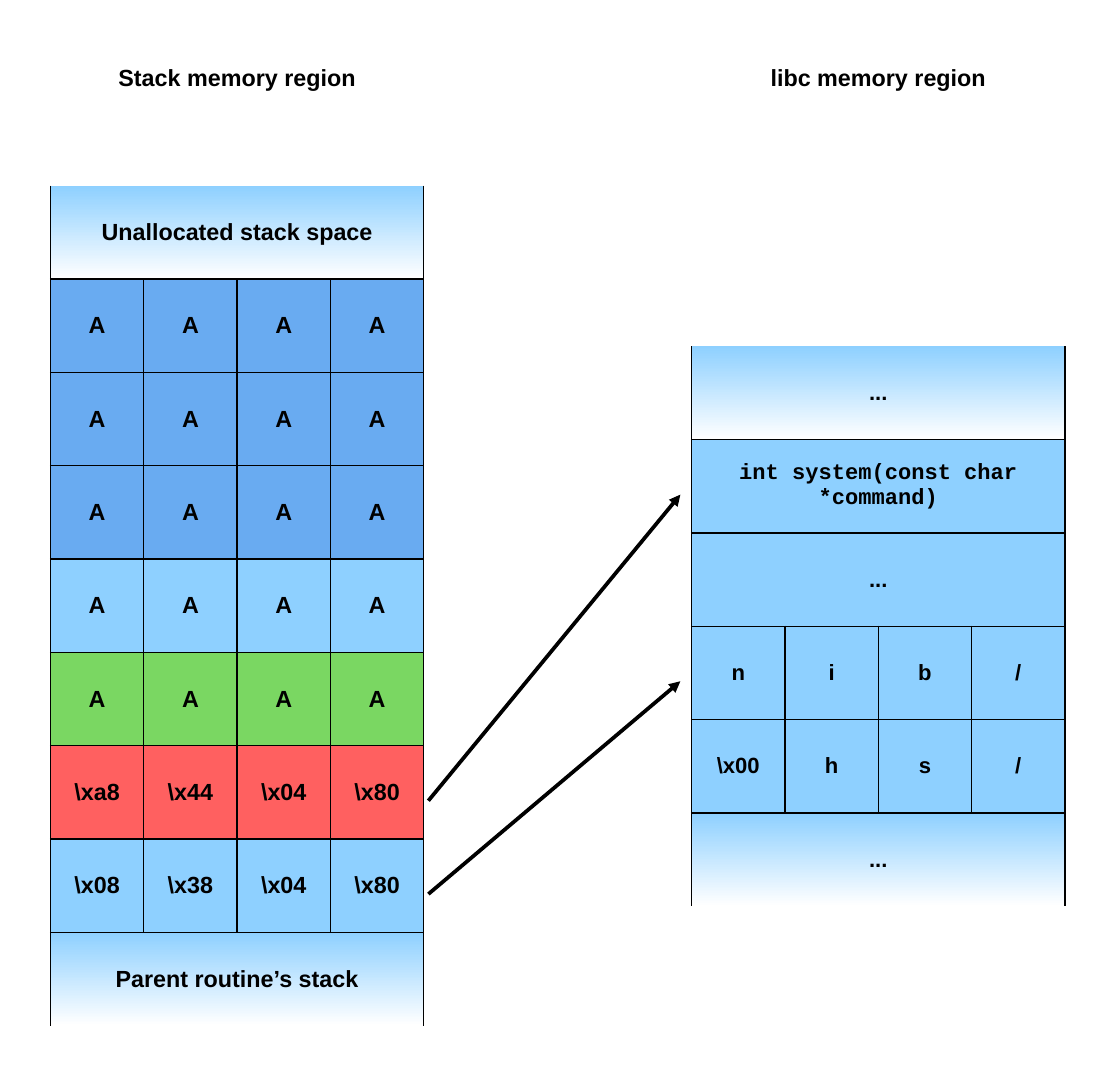
from dataclasses import dataclass

from lxml.etree import SubElement
from pptx import Presentation
from pptx.dml.color import RGBColor
from pptx.enum.shapes import MSO_CONNECTOR as Connector
from pptx.enum.text import MSO_ANCHOR as Anchor, MSO_AUTO_SIZE as AutoSize, PP_ALIGN as Align
from pptx.oxml import parse_xml
from pptx.oxml.ns import nsdecls, qn
from pptx.util import Inches, Pt


@dataclass(frozen=True)
class Theme:
    ink: str = "000000"
    paper: str = "FFFFFF"
    memory: str = "8ED0FF"
    buffer: str = "69ABF1"
    frame_pointer: str = "7AD762"
    return_address: str = "FF6060"
    font: str = "Arial"
    code_font: str = "Courier New"
    stack_size: int = 18
    libc_size: int = 17
    border: float = 1.13
    arrow: float = 2.89


THEME = Theme()
FADE = "fade"  # marks a row whose fill fades out to the background
COLUMNS = 4
UNIT = 1  # side of one memory byte, in inches
STACK_LEFT, STACK_TOP = 0.54, 1.99
LIBC_LEFT, LIBC_TOP = 7.41, 3.71
HEADING_TOP, HEADING_HEIGHT = 0.59, 0.48

# Each row: its texts (a single text spans the row) and its fill
FILLER = ["A"] * COLUMNS
STACK_ROWS = [
    (["Unallocated stack space"], FADE),
    *[(FILLER, THEME.buffer)] * 3,
    (FILLER, THEME.memory),
    (FILLER, THEME.frame_pointer),
    ([r"\xa8", r"\x44", r"\x04", r"\x80"], THEME.return_address),
    ([r"\x08", r"\x38", r"\x04", r"\x80"], THEME.memory),
    (["Parent routine’s stack"], FADE),
]
SYSTEM_CALL = "int system(const char *command)"
LIBC_ROWS = [
    (["..."], FADE),
    ([SYSTEM_CALL], THEME.memory),
    (["..."], THEME.memory),
    (["n", "i", "b", "/"], THEME.memory),
    ([r"\x00", "h", "s", "/"], THEME.memory),
    (["..."], FADE),
]


def color(value):
    return RGBColor.from_string(value)


def format_text(text_frame, size, font=THEME.font):
    for paragraph in text_frame.paragraphs:
        paragraph.alignment = Align.CENTER
        for run in paragraph.runs:
            run.font.name = font
            run.font.size = Pt(size)
            run.font.bold = True
            run.font.color.rgb = color(THEME.ink)


def fill_cell(cell, fill):
    if fill != FADE:
        cell.fill.solid()
        cell.fill.fore_color.rgb = color(fill)
        return
    cell.fill.gradient()
    cell.fill.gradient_angle = 270
    for stop, value in zip(cell.fill.gradient_stops, (THEME.memory, THEME.paper)):
        stop.color.rgb = color(value)


def set_borders(cell, has_top, has_bottom):
    """Draw the cell's sides; borders come before the fill in the XML."""
    properties = cell._tc.get_or_add_tcPr()
    sides = {"L": True, "R": True, "T": has_top, "B": has_bottom}
    for position, (side, visible) in enumerate(sides.items()):
        paint = f'<a:solidFill><a:srgbClr val="{THEME.ink}"/></a:solidFill>' if visible else "<a:noFill/>"
        line = f'<a:ln{side} {nsdecls("a")} w="{Pt(THEME.border)}">{paint}</a:ln{side}>'
        properties.insert(position, parse_xml(line))


def add_memory(slide, left, top, rows, size):
    """Add a memory region as a table, open at its upper and lower ends."""
    table = slide.shapes.add_table(
        len(rows), COLUMNS, Inches(left), Inches(top),
        Inches(COLUMNS * UNIT), Inches(len(rows) * UNIT)).table
    table.first_row = table.horz_banding = False
    for row, (texts, fill) in enumerate(rows):
        if len(texts) == 1:
            table.cell(row, 0).merge(table.cell(row, COLUMNS - 1))
        for column in range(COLUMNS):
            cell = table.cell(row, column)
            fill_cell(cell, fill)
            set_borders(cell, row > 0, row < len(rows) - 1)
            cell.vertical_anchor = Anchor.MIDDLE
            if column < len(texts):
                cell.text_frame.text = texts[column]
                font = THEME.code_font if texts[column] == SYSTEM_CALL else THEME.font
                format_text(cell.text_frame, size, font)


def place_heading(placeholder, text, left):
    """Centre a heading over the memory region that starts at left."""
    placeholder.left, placeholder.top = Inches(left), Inches(HEADING_TOP)
    placeholder.width, placeholder.height = Inches(COLUMNS * UNIT), Inches(HEADING_HEIGHT)
    frame = placeholder.text_frame
    frame.text = text
    frame.word_wrap = True
    frame.auto_size = AutoSize.NONE
    frame.vertical_anchor = Anchor.MIDDLE
    frame.paragraphs[0].space_before = Pt(0)
    format_text(frame, THEME.stack_size)


def add_pointer(slide, stack_row, libc_row):
    """Point from a stack row to the libc row that it addresses."""
    drop = 0.59 * UNIT  # just below the middle of a row
    connector = slide.shapes.add_connector(
        Connector.STRAIGHT,
        Inches(STACK_LEFT + COLUMNS * UNIT + 0.05), Inches(STACK_TOP + stack_row * UNIT + drop),
        Inches(LIBC_LEFT - 0.12), Inches(LIBC_TOP + libc_row * UNIT + drop))
    connector.line.color.rgb = color(THEME.ink)
    connector.line.width = Pt(THEME.arrow)
    properties = connector.element.spPr
    SubElement(properties.find(qn("a:ln")), qn("a:tailEnd"), type="triangle")
    SubElement(properties, qn("a:effectLst"))


def main():
    presentation = Presentation()
    presentation.slide_width, presentation.slide_height = Inches(12), Inches(11.69)
    slide = presentation.slides.add_slide(presentation.slide_layouts.get_by_name("Comparison"))

    # Headings use the two column-heading placeholders of the layout
    headings = {1: ("Stack memory region", STACK_LEFT), 3: ("libc memory region", LIBC_LEFT)}
    for placeholder in list(slide.placeholders):
        index = placeholder.placeholder_format.idx
        if index in headings:
            place_heading(placeholder, *headings[index])
        else:
            placeholder.element.getparent().remove(placeholder.element)

    # Memory regions
    add_memory(slide, STACK_LEFT, STACK_TOP, STACK_ROWS, THEME.stack_size)
    add_memory(slide, LIBC_LEFT, LIBC_TOP, LIBC_ROWS, THEME.libc_size)

    # Return address to system(), and its argument to the "/bin/sh" string
    add_pointer(slide, 6, 1)
    add_pointer(slide, 7, 3)

    presentation.save("out.pptx")


if __name__ == "__main__":
    main()
